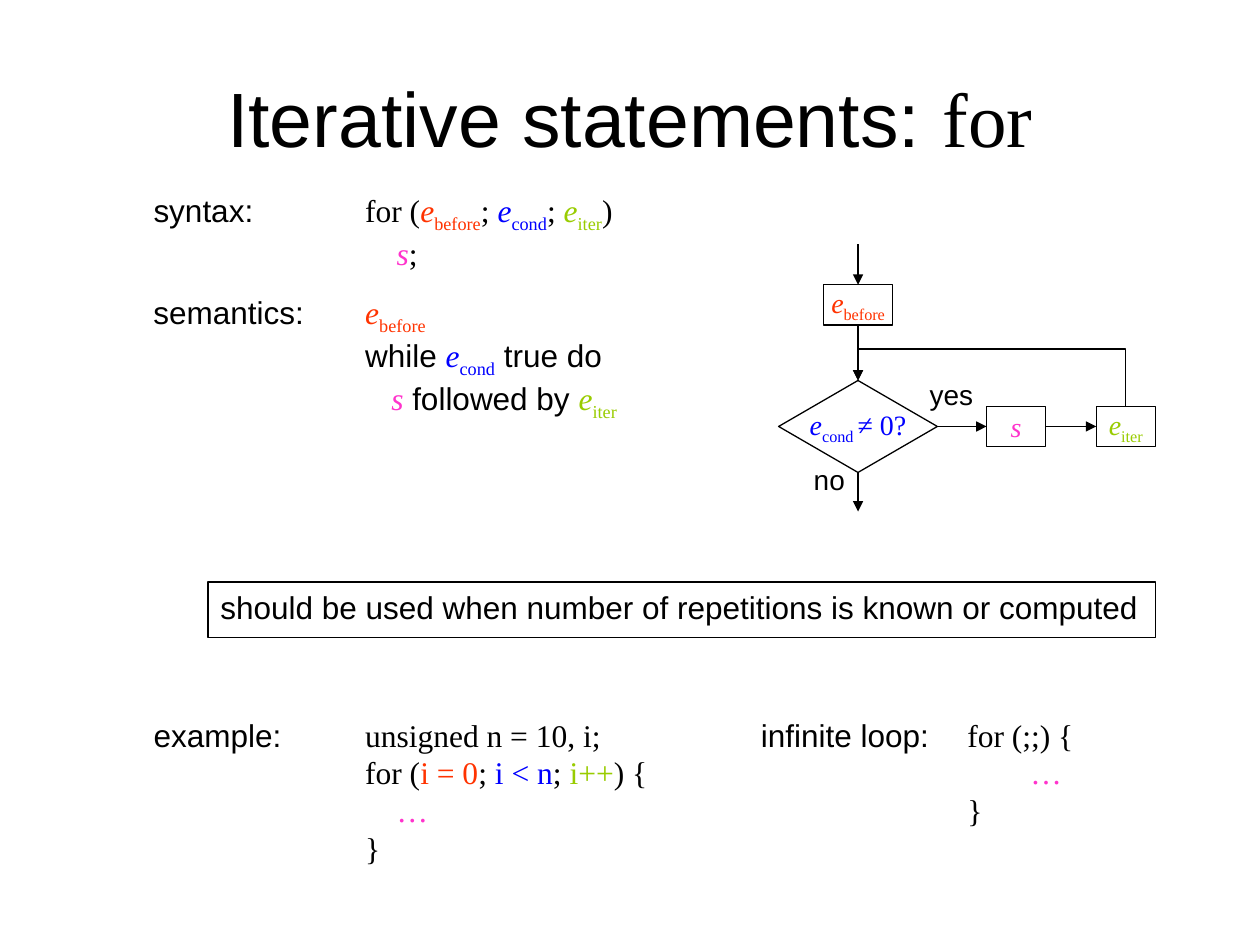
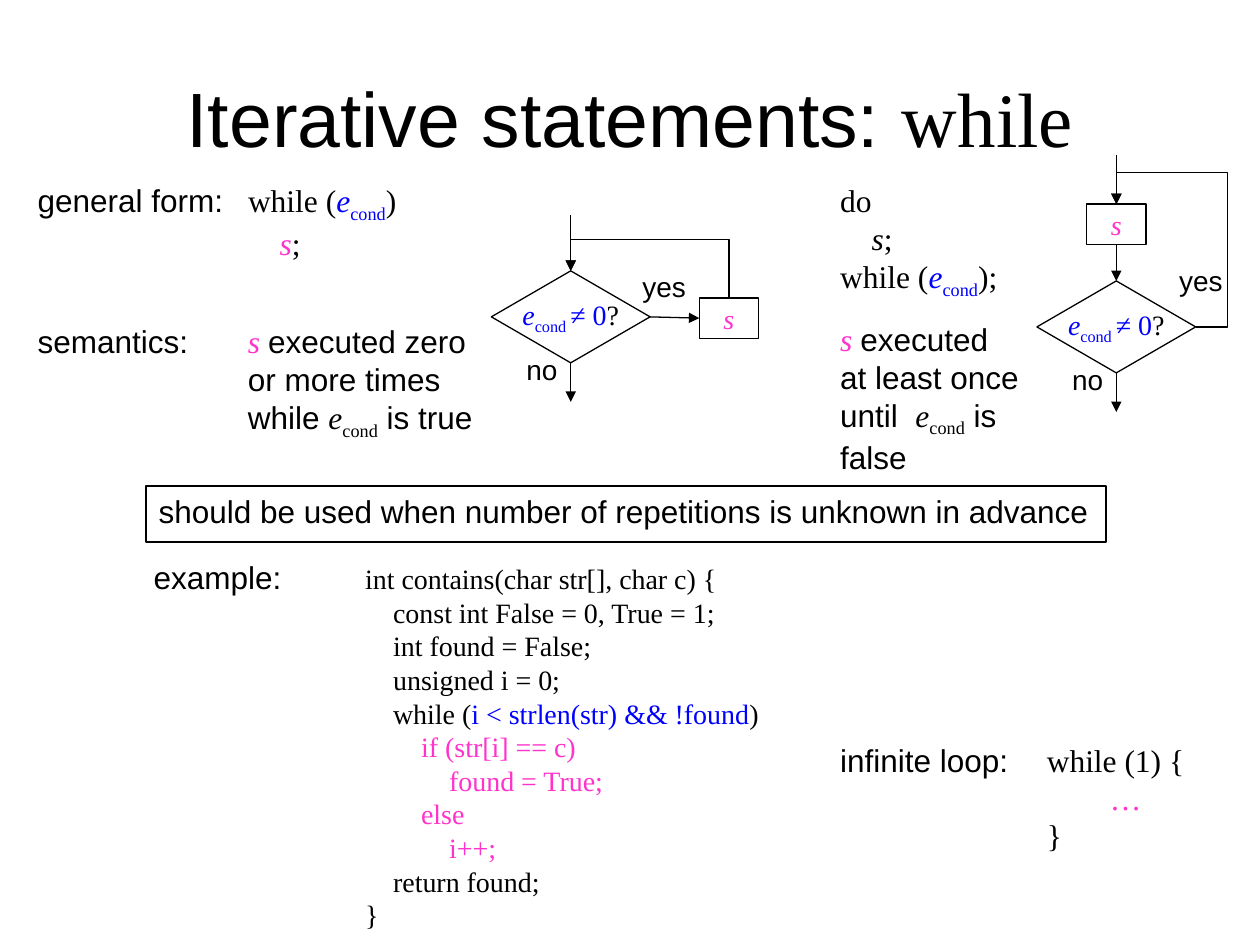
from lxml.etree import SubElement
from pptx import Presentation
from pptx.dml.color import RGBColor
from pptx.enum.shapes import MSO_CONNECTOR, MSO_SHAPE
from pptx.enum.text import MSO_ANCHOR, PP_ALIGN
from pptx.oxml.ns import qn
from pptx.util import Emu, Inches, Pt

SANS, SERIF = "Arial", "Times New Roman"
HUES = {"K": "000000", "R": "FF3300", "B": "0000FF", "G": "99CC00", "P": "FF33CC"}
WIDE, HIGH = Inches(10), Inches(7.5)
CELL = WIDE / 100
TEST = (12.6, 7.3)
STEP = (4.7, 3.2)
TOP, LEFT, BASE, RIGHT = range(4)


def term(name, hue):
    return [("e", hue + "i"), (name, hue + "_")]


BEFORE, COND, ITER = term("before", "R"), term("cond", "B"), term("iter", "G")
TRUTH = term("cond", "K")
BODY = ("s", "Pi")
DOTS = [2, ("…", "P")]
ASK = [("e", "Bi"), ("cond ", "B_")]

# Text rows: left, top, width, height, font, size, lines (a leading number indents).
SLIDES = [
    {
        "title": "for",
        "note": (16.5, 46.2, 75.2, "should be used when number of repetitions is known or computed"),
        "texts": [
            (11.2, 14.7, 9.9, 4, SANS, 18, [["syntax:"]]),
            (28, 14.7, 23, 7, SERIF, 18, [
                ["for (", *BEFORE, "; ", *COND, "; ", *ITER, ")"],
                [1, BODY, ";"]]),
            (11.2, 22.8, 14, 4, SANS, 18, [["semantics:"]]),
            (28, 22.8, 38, 10, SANS, 18, [
                BEFORE,
                ["while ", *COND, " true do"],
                [0.83, BODY, " followed by ", *ITER]]),
            (11.2, 56.3, 12.2, 4, SANS, 18, [["example:"]]),
            (28, 56.3, 24.4, 13, SERIF, 18, [
                ["unsigned n = 10, i;"],
                ["for (", ("i = 0", "R"), "; ", ("i < n", "B"), "; ", ("i++", "G"), ") {"],
                [1, ("…", "P")],
                ["}"]]),
            (59.4, 56.3, 15.3, 4, SANS, 18, [["infinite loop:"]]),
            (75.8, 56.3, 10.4, 13, SERIF, 18, [["for (;;) {"], DOTS, ["}"]]),
        ],
        "flows": [{
            "at": (68.1, 33.85),
            "ask": ASK + [("≠ 0?", "B")],
            "steps": {
                "before": (0, -9.65, 5.5, BEFORE),
                "body": (12.55, 0, STEP[0], [BODY]),
                "iter": (21.25, 0, STEP[0], ITER)},
            "joins": [("before", BASE, "test", TOP), ("test", RIGHT, "body", LEFT),
                      ("body", RIGHT, "iter", LEFT)],
            "enter": ("before", -14.45),
            "loop": [(21.25, -1.6), (21.25, -6.15), (0, -6.15), (0, -3.65)],
            "yes": (4.7, -4.35),
        }],
    },
    {
        "title": "while",
        "note": (11.6, 38.6, 76.2, "should be used when number of repetitions is unknown in advance"),
        "texts": [
            (2, 13.9, 16.7, 4, SANS, 18, [["general form:"]]),
            (18.7, 13.9, 14.8, 7, SERIF, 18, [
                ["while (", *COND, ")"],
                [1, BODY, ";"]]),
            (65.7, 13.9, 14.9, 10, SERIF, 18, [
                ["do"],
                [1, ("s", "Ki"), ";"],
                ["while (", *COND, ");"]]),
            (2, 25.1, 14, 4, SANS, 18, [["semantics:"]]),
            (18.7, 25.1, 24.4, 10, SANS, 18, [
                [("s ", "Pi"), "executed zero"],
                ["or more times"],
                ["while ", *TRUTH, " is true"]]),
            (65.7, 24.9, 24.4, 13, SANS, 18, [
                [("s ", "Pi"), "executed"],
                ["at least once"],
                ["until  ", *TRUTH, " is"],
                ["false"]]),
            (11.2, 43.8, 12.2, 4, SANS, 18, [["example:"]]),
            (28, 44.1, 33.4, 30.4, SERIF, 16, [
                ["int contains(char str[], char c) {"],
                [1, "const int False = 0, True = 1;"],
                [1, "int found = False;"],
                [1, "unsigned i = 0;"],
                [1, "while (", ("i < strlen(str) && !found", "B"), ")"],
                [2, ("if (str[i] == c)", "P")],
                [3, ("found = True;", "P")],
                [2, ("else", "P")],
                [3, ("i++;", "P")],
                [1, "return found;"],
                ["}"]]),
            (65.7, 58.3, 15.3, 4, SANS, 18, [["infinite loop:"]]),
            (82.1, 58.3, 13, 13.1, SERIF, 18, [["while (1) {"], DOTS, ["}"]]),
        ],
        "flows": [
            {
                "at": (45.3, 25.15),
                "ask": ASK + [("≠ 0", "B"), ("?", "K")],
                "steps": {"body": (12.55, 0.1, STEP[0], [BODY])},
                "joins": [("test", RIGHT, "body", LEFT)],
                "enter": ("test", -8.05),
                "loop": [(12.55, -1.5), (12.55, -6.15), (0, -6.15), (0, -3.65)],
                "yes": (4.7, -4.25),
            },
            {
                "at": (88.6, 25.95),
                "ask": ASK + [("≠ 0", "B"), ("?", "K")],
                "steps": {"body": (0, -8.15, STEP[0], [BODY])},
                "joins": [("body", BASE, "test", TOP)],
                "enter": ("body", -13.65),
                "loop": [(6.3, 0), (8.8, 0), (8.8, -12.25), (0, -12.25), (0, -9.75)],
                "yes": (4, -5.55),
            },
        ],
    },
]


def grid(*nums):
    return [Emu(round(n * CELL)) for n in nums]


def tint(form, code):
    form.rgb = RGBColor.from_string(code)


def put(item, vals):
    for key, val in vals.items():
        setattr(item, key, val)


def write(shape, lines, face, size, frame, align=PP_ALIGN.LEFT):
    body = shape.text_frame
    put(body, frame)
    for row, line in enumerate(lines):
        para = body.paragraphs[0] if row == 0 else body.add_paragraph()
        para.alignment = align
        for part in line:
            if isinstance(part, (int, float)):
                para._p.get_or_add_pPr().set("marL", str(Pt(part * size)))
                continue
            words, code = (part, "K") if isinstance(part, str) else part
            run = para.add_run()
            run.text = words
            put(run.font, {"name": face if isinstance(part, str) else SERIF,
                           "size": Pt(size), "italic": "i" in code})
            tint(run.font.color, HUES[code[0]])
            if "_" in code:
                run.font._element.set("baseline", "-25000")


PLAIN = {"word_wrap": True, "margin_right": 0}
MID = {"word_wrap": True, "margin_left": 0, "margin_right": 0,
       "vertical_anchor": MSO_ANCHOR.MIDDLE}
NODE = {**MID, "word_wrap": False}


def label(slide, x, y, w, h, face, size, lines):
    write(slide.shapes.add_textbox(*grid(x, y, w, h)), lines, face, size, PLAIN)


def edge(shape, thick):
    tint(shape.line.color, HUES["K"]) if shape.line.fill.solid() is None else None
    shape.line.width = Pt(thick)


def block(slide, kind, x, y, w, h, thick, fill=None):
    shape = slide.shapes.add_shape(kind, *grid(x, y, w, h))
    shape.shadow.inherit = False
    if fill:
        shape.fill.solid()
        tint(shape.fill.fore_color, fill)
    else:
        shape.fill.background()
    edge(shape, thick)
    return shape


def point(shape):
    edge(shape, 0.75)
    SubElement(shape.line._get_or_add_ln(), qn("a:tailEnd"), type="triangle")


def arrow(slide, start, end, head=None, tail=None):
    link = slide.shapes.add_connector(MSO_CONNECTOR.STRAIGHT, *grid(*start, *end))
    if head:
        link.begin_connect(*head)
    if tail:
        link.end_connect(*tail)
    point(link)
    SubElement(link._element.spPr, qn("a:effectLst"))


def chart(slide, flow):
    cx, cy = flow["at"]

    def node(kind, dx, dy, w, h, words):
        shape = block(slide, kind, cx + dx - w / 2, cy + dy - h / 2, w, h, 0.75, "FFFFFF")
        write(shape, [words], SERIF, 16, NODE, PP_ALIGN.CENTER)
        return shape

    nodes = {"test": node(MSO_SHAPE.FLOWCHART_DECISION, 0, 0, *TEST, flow["ask"])}
    for name, (dx, dy, w, words) in flow["steps"].items():
        nodes[name] = node(MSO_SHAPE.FLOWCHART_PROCESS, dx, dy, w, STEP[1], words)
    for one, out, two, into in flow["joins"]:
        arrow(slide, (cx, cy), (cx, cy), (nodes[one], out), (nodes[two], into))
    goal, rise = flow["enter"]
    arrow(slide, (cx, cy + rise), (cx, cy), tail=(nodes[goal], TOP))
    foot = cy + TEST[1] / 2
    arrow(slide, (cx, foot), (cx, foot + 3.1), head=(nodes["test"], BASE))

    first, *rest = [grid(cx + dx, cy + dy) for dx, dy in flow["loop"]]
    pen = slide.shapes.build_freeform(*first)
    pen.add_line_segments(rest, close=False)
    loop = pen.convert_to_shape()
    loop.shadow.inherit = False
    loop.fill.background()
    point(loop)

    dx, dy = flow["yes"]
    label(slide, cx + dx, cy + dy, 5.5, 3.7, SANS, 16, [["yes"]])
    label(slide, cx - 4.5, cy + 2.35, 4.5, 3.7, SANS, 16, [["no"]])


def build(deck, page):
    slide = deck.slides.add_slide(deck.slide_layouts[6])
    title = slide.shapes.add_textbox(*grid(5, 3, 90, 12.5))
    write(title, [["Iterative statements: ", (page["title"], "K")]], SANS, 44, MID, PP_ALIGN.CENTER)
    x, y, w, words = page["note"]
    note = block(slide, MSO_SHAPE.RECTANGLE, x, y, w, 4.4, 1)
    write(note, [[words]], SANS, 18, {**PLAIN, "vertical_anchor": MSO_ANCHOR.TOP})
    for row in page["texts"]:
        label(slide, *row)
    for flow in page["flows"]:
        chart(slide, flow)


def main():
    deck = Presentation()
    put(deck, {"slide_width": WIDE, "slide_height": HIGH})
    for page in SLIDES:
        build(deck, page)
    deck.save("out.pptx")


if __name__ == "__main__":
    main()
